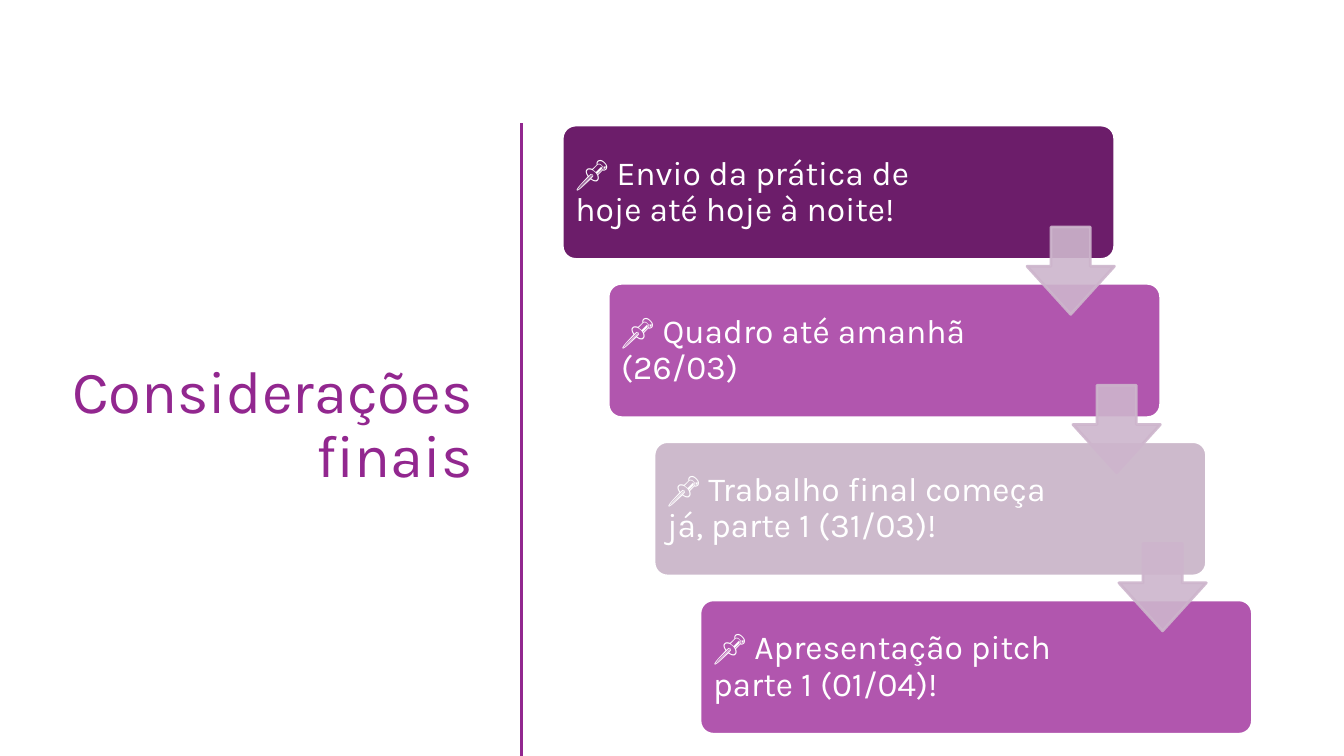
import pptx
import pptx.dml.color
import pptx.enum.shapes
import pptx.enum.text
import pptx.oxml.ns
import pptx.util
import lxml.etree
from dataclasses import dataclass

Pt = pptx.util.Pt
RGB = pptx.dml.color.RGBColor.from_string
qn = pptx.oxml.ns.qn
SHAPE = pptx.enum.shapes.MSO_SHAPE
ALIGN = pptx.enum.text.PP_ALIGN


@dataclass(frozen=True)
class Theme:
    font: str = "Karla"
    title_size: float = 32
    step_size: float = 18
    accent: str = "92278F"
    dark: str = "6C1D6A"
    medium: str = "B156AE"
    light: str = "CDBACC"
    arrow: str = "CDB5CC"
    white: str = "FFFFFF"


class Deck:
    """Draws styled elements on the current slide."""

    def __init__(self, prs, theme):
        self.theme = theme
        self.s = prs.slides.add_slide(prs.slide_layouts[6])

    def text(self, x, y, w, h, text, size, color, align=ALIGN.LEFT, inset=5):
        sp = self.s.shapes.add_textbox(Pt(x), Pt(y), Pt(w), Pt(h))
        tf = sp.text_frame
        tf.word_wrap = True
        tf.vertical_anchor = pptx.enum.text.MSO_ANCHOR.MIDDLE
        tf.margin_left = tf.margin_right = tf.margin_top = tf.margin_bottom = Pt(inset)
        p = tf.paragraphs[0]
        p.alignment = align
        p.line_spacing = 0.9
        r = p.add_run()
        r.text = text
        r.font.name = self.theme.font
        r.font.size = Pt(size)
        r.font.color.rgb = RGB(color)

    def shape(self, kind, x, y, w, h, fill, line, adjustments, alpha=None):
        sp = self.s.shapes.add_shape(kind, Pt(x), Pt(y), Pt(w), Pt(h))
        sp.shadow.inherit = False
        for i, value in enumerate(adjustments):
            sp.adjustments[i] = value
        sp.fill.solid()
        sp.fill.fore_color.rgb = RGB(fill)
        sp.line.color.rgb = RGB(line)
        sp.line.width = Pt(1.5)
        if alpha:
            for color in sp.element.spPr.iter(qn("a:srgbClr")):
                lxml.etree.SubElement(color, qn("a:alpha"), val=str(alpha * 1000))

    def rule(self, x, top, bottom, color, width):
        line = self.s.shapes.add_connector(
            pptx.enum.shapes.MSO_CONNECTOR.STRAIGHT, Pt(x), Pt(top), Pt(x), Pt(bottom))
        line.line.color.rgb = RGB(color)
        line.line.width = Pt(width)
        lxml.etree.SubElement(line.element.spPr, qn("a:effectLst"))


def main():
    prs = pptx.Presentation()
    prs.slide_width, prs.slide_height = Pt(720), Pt(405)
    theme = Theme()
    deck = Deck(prs, theme)

    deck.text(28, 63.4, 232.6, 329.8, "Considerações finais",
              theme.title_size, theme.accent, ALIGN.RIGHT, 7.2)
    deck.rule(279.4, 66, 405, theme.accent, 2)

    steps = [
        ("📌 Envio da prática de hoje até hoje à noite!", theme.dark, 212),
        ("📌 Quadro até amanhã (26/03)", theme.medium, 220),
        ("📌 Trabalho final começa já, parte 1 (31/03)!", theme.light, 220),
        ("📌 Apresentação pitch parte 1 (01/04)!", theme.medium, 220),
    ]
    places = [(301.2 + 24.6 * i, 67 + 84.8 * i) for i in range(len(steps))]
    for (x, y), (text, fill, text_width) in zip(places, steps):
        deck.shape(SHAPE.ROUNDED_RECTANGLE, x, y, 296, 72, fill, theme.white, [0.1])
        deck.text(x + 2, y + 2, text_width, 68, text, theme.step_size, theme.white)
    for x, y in places[:-1]:
        deck.shape(SHAPE.DOWN_ARROW, x + 249, y + 54.6, 46.8, 46.8,
                   theme.arrow, theme.arrow, [0.45, 0.55], alpha=90)

    prs.save("out.pptx")


if __name__ == "__main__":
    main()
